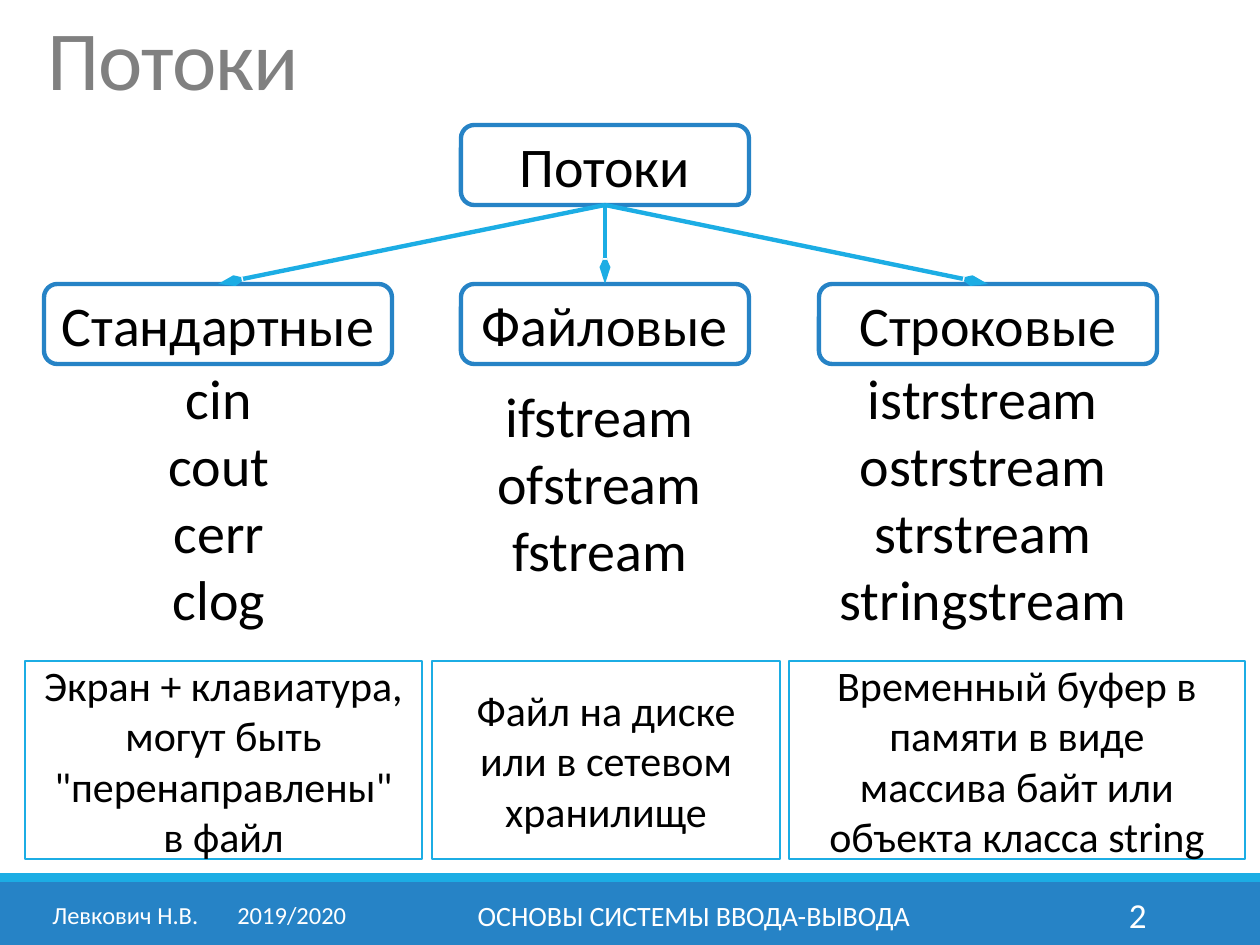
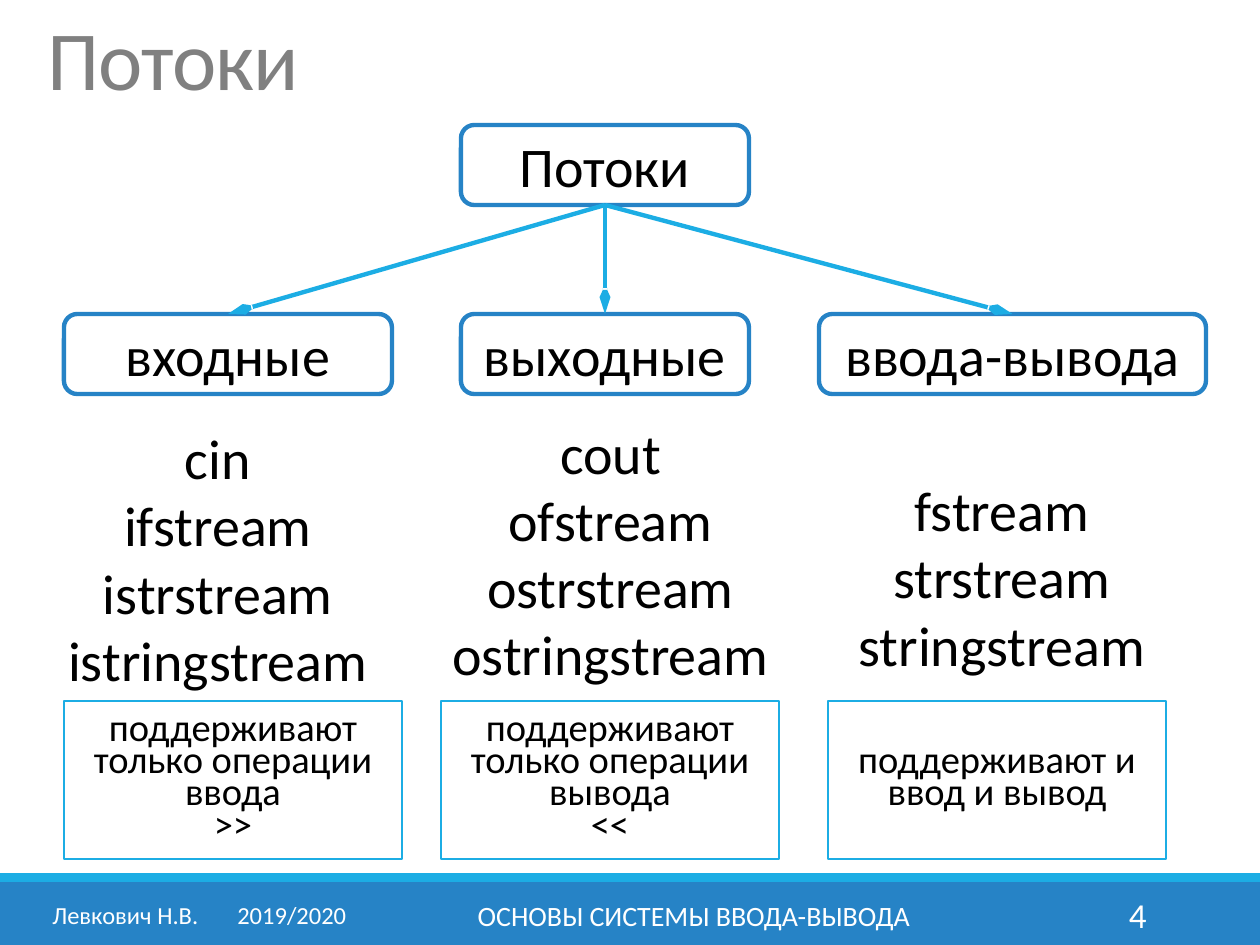
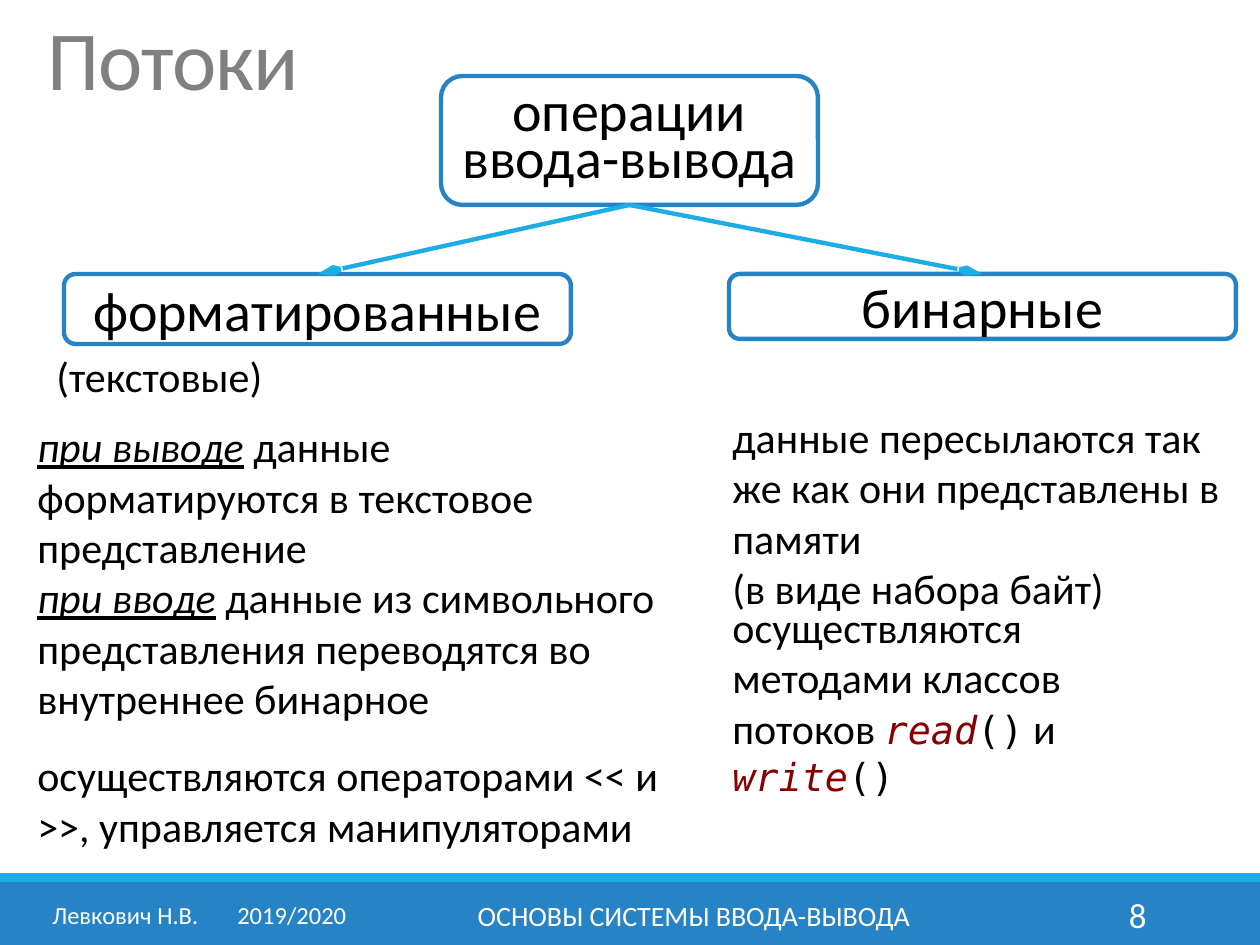
"""Build three slides on the kinds of C++ streams."""
from lxml import etree
from pptx import Presentation
from pptx.dml.color import RGBColor
from pptx.enum.shapes import MSO_CONNECTOR, MSO_SHAPE
from pptx.enum.text import MSO_ANCHOR, MSO_AUTO_SIZE, PP_ALIGN
from pptx.oxml.ns import qn
from pptx.util import Pt

RECTANGLE, ROUNDED = MSO_SHAPE.RECTANGLE, MSO_SHAPE.ROUNDED_RECTANGLE
STRAIGHT = MSO_CONNECTOR.STRAIGHT
TOP, MIDDLE = MSO_ANCHOR.TOP, MSO_ANCHOR.MIDDLE
LEFT, CENTER, RIGHT = PP_ALIGN.LEFT, PP_ALIGN.CENTER, PP_ALIGN.RIGHT
NO_FIT = MSO_AUTO_SIZE.NONE

PIXEL = 914400 / 126
COLORS = {
    name: RGBColor.from_string(value)
    for name, value in {
        "blue": "2683C6", "cyan": "1CADE4", "white": "FFFFFF",
        "black": "000000", "gray": "808080", "code": "880000",
    }.items()
}
BODY_FONT, CODE_FONT = "Calibri", "DejaVu Sans Mono"


def add_box(page, place, kind=None, fill=None, line=None, width=0):
    """Add a text box, or a preset shape when a kind is given."""
    place = [round(length * PIXEL) for length in place]
    if kind is None:
        return page.shapes.add_textbox(*place)
    box = page.shapes.add_shape(kind, *place)
    box.shadow.inherit = False
    if fill:
        box.fill.solid()
        box.fill.fore_color.rgb = COLORS[fill]
    else:
        box.fill.background()
    if line:
        box.line.color.rgb = COLORS[line]
        box.line.width = Pt(width)
    else:
        box.line.fill.background()
    return box


def write(box, text, size, align=CENTER, color="black", anchor=MIDDLE, spacing=None):
    """Fill a box with a string, or with one paragraph of styled spans."""
    frame = box.text_frame
    frame.word_wrap = True
    frame.auto_size = NO_FIT
    frame.vertical_anchor = anchor
    if isinstance(text, str):
        frame.text = text
    else:
        for words, style in text:
            para = frame.paragraphs[0]
            if words == "\v":
                para.add_line_break()
                continue
            span = para.add_run()
            span.text = words
            if style == "term":
                span.font.italic = span.font.underline = True
            elif style:
                span.font.name, span.font.size = CODE_FONT, Pt(22)
                if style == "name":
                    span.font.italic = True
                    span.font.color.rgb = COLORS["code"]
    for para in frame.paragraphs:
        para.alignment = align
        para.font.name, para.font.size = BODY_FONT, Pt(size)
        para.font.color.rgb = COLORS[color]
        if spacing:
            para.line_spacing = spacing


ROOT = ((461, 125, 288, 80), "Потоки", None)
OUTPUT_TEXT = [
    ("при выводе", "term"),
    (" данные форматируются в текстовое представление", None),
    ("\v", None),
    ("при вводе", "term"),
    (" данные из символьного представления переводятся во внутреннее бинарное", None),
]
METHODS_TEXT = [
    ("осуществляются методами классов потоков ", None),
    ("read", "name"), ("()", "code"), (" и ", None),
    ("write", "name"), ("()", "code"),
]

# place, text and line spacing for nodes; lists add a bottom margin; notes add nothing
PAGES = [
    {
        "number": "2",
        "root": ROOT,
        "nodes": [
            ((44, 284, 348, 80), "Стандартные"),
            ((461, 284, 288, 80), "Файловые"),
            ((819, 284, 338, 80), "Строковые"),
        ],
        "lists": [
            ((115, 344, 208, 307), "cin\vcout\vcerr\vclog", 6),
            ((451, 363, 297, 238), "ifstream\vofstream\vfstream", 6),
            ((819, 344, 328, 307), "istrstream\vostrstream\vstrstream\nstringstream", 6),
        ],
        "frames": [
            ((25, 661, 397, 198), "Экран + клавиатура, могут быть \"перенаправлены\"\vв файл"),
            ((432, 661, 348, 198), "Файл на диске или в сетевом хранилище"),
            ((789, 661, 456, 198),
             "Временный буфер в памяти в виде\vмассива байт или\nобъекта класса string"),
        ],
        "frame_style": (24, None),
        "notes": [],
    },
    {
        "number": "4",
        "root": ROOT,
        "nodes": [
            ((64, 314, 328, 80), "входные"),
            ((461, 314, 288, 80), "выходные"),
            ((819, 314, 387, 80), "ввода-вывода"),
        ],
        "lists": [
            ((54, 423, 328, 307), "cin\vifstream\nistrstream\nistringstream", 43),
            ((432, 452, 357, 238), "cout\vofstream\nostrstream\nostringstream", 43),
            ((838, 423, 328, 307), "fstream\nstrstream\vstringstream", 6),
        ],
        "frames": [
            ((64, 701, 338, 158), "поддерживают только операции ввода\v>>"),
            ((441, 701, 338, 158), "поддерживают только операции вывода\v<<"),
            ((828, 701, 338, 158), "поддерживают и ввод и вывод"),
        ],
        "frame_style": (22, 0.7),
        "notes": [],
    },
    {
        "number": "8",
        "root": ((441, 76, 377, 129), "операции ввода-вывода", 0.7),
        "nodes": [
            ((64, 274, 507, 70), "форматированные"),
            ((729, 274, 507, 65), "бинарные"),
        ],
        "lists": [],
        "frames": [],
        "frame_style": (24, None),
        "notes": [
            ((720, 403, 515, 218),
             "данные пересылаются так же как они представлены в памяти\v(в виде набора байт)",
             MIDDLE),
            ((25, 403, 645, 338), OUTPUT_TEXT, MIDDLE),
            ((25, 741, 704, 118),
             "осуществляются операторами << и >>, управляется манипуляторами", MIDDLE),
            ((720, 641, 496, 118), METHODS_TEXT, MIDDLE),
            ((44, 344, 427, 63), "(текстовые)", TOP),
        ],
    },
]

deck = Presentation()
deck.slide_width, deck.slide_height = round(1260 * PIXEL), round(945 * PIXEL)
layout = deck.slide_layouts[5]

for index, content in enumerate(PAGES):
    page = deck.slides.add_slide(layout)
    if index == 0:
        for place, color in (((0, 882, 1260, 63), "blue"), ((0, 873, 1260, 9), "cyan")):
            band = add_box(page, place, RECTANGLE, color)
            layout.shapes.element.append(band.element)

    title = page.shapes.title
    title.left, title.top, title.width, title.height = (
        round(length * PIXEL) for length in (35, 16, 1191, 110))
    write(title, "Потоки", 48, LEFT, "gray", TOP, 0.85)
    title.text_frame.paragraphs[0].runs[0]._r.get_or_add_rPr().set("spc", "-50")

    place, text, spacing = content["root"]
    root = add_box(page, place, ROUNDED, "white", "blue", 2.5)
    write(root, text, 32, spacing=spacing)

    for place, text in content["nodes"]:
        node = add_box(page, place, ROUNDED, "white", "blue", 2.5)
        write(node, text, 32)
        arrow = page.shapes.add_connector(STRAIGHT, 0, 0, 0, 0)
        arrow.begin_connect(root, 2)
        arrow.end_connect(node, 0)
        arrow.line.color.rgb = COLORS["cyan"]
        arrow.line.width = Pt(2.5)
        etree.SubElement(arrow.line._get_or_add_ln(), qn("a:tailEnd"),
                         type="arrow", w="sm", len="lg")
        etree.SubElement(arrow.element.spPr, qn("a:effectLst"))

    for place, text, bottom in content["lists"]:
        box = add_box(page, place)
        write(box, text, 32)
        box.text_frame.margin_bottom = round(bottom * PIXEL)

    size, spacing = content["frame_style"]
    for place, text in content["frames"]:
        write(add_box(page, place, RECTANGLE, None, "cyan", 1.25), text, size, spacing=spacing)

    for place, text, anchor in content["notes"]:
        write(add_box(page, place), text, 24, LEFT, anchor=anchor)

    for left, width, text, size, align in (
        (40, 329, "Левкович Н.В.\t2019/2020", 14, LEFT),
        (381, 626, "ОСНОВЫ СИСТЕМЫ ВВОДА-ВЫВОДА", 16, CENTER),
        (1023, 136, content["number"], 20, RIGHT),
    ):
        footer = add_box(page, (left, 890, width, 50))
        write(footer, text, size, align, "white")
        if "\t" in text:
            properties = footer.text_frame.paragraphs[0]._p.get_or_add_pPr()
            tabs = etree.Element(qn("a:tabLst"))
            etree.SubElement(tabs, qn("a:tab"), pos=str(round(185 * PIXEL)), algn="l")
            properties.insert(0, tabs)

deck.save("out.pptx")
